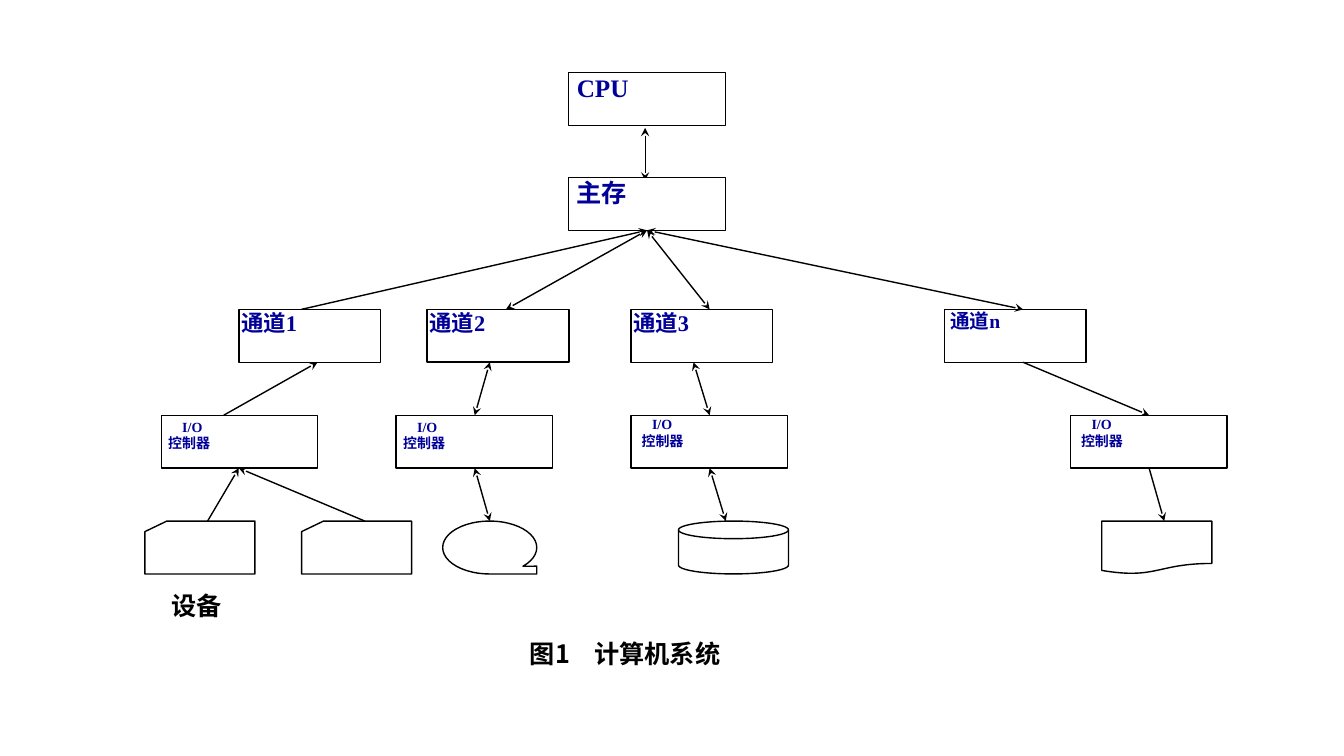
from dataclasses import dataclass

import pptx
import pptx.dml.color
import pptx.enum.shapes
import pptx.enum.text
import pptx.oxml
import pptx.oxml.ns
import pptx.util
from pptx.slide import Slide
from pptx.text.text import TextFrame

Pt = pptx.util.Pt
Kind = pptx.enum.shapes.MSO_SHAPE
Align = pptx.enum.text.PP_ALIGN

COLORS = {"ink": "000000", "paper": "FFFFFF", "label": "000099"}
SERIF, SANS = "Times New Roman", "Noto Sans CJK SC"
HIGH = 37.8
ROWS = {"cpu": 51.8, "store": 126.7, "channel": 221, "control": 296.6, "device": 372.2}
WIDTHS = {"cpu": 112.3, "store": 112.3, "channel": 101, "control": 111.8, "device": 78.6}
HUB = 462.2


@dataclass
class Line:
    text: str
    size: float
    indent: float = 0


@dataclass
class Box:
    row: str
    left: float
    lines: tuple[Line, ...] = ()
    kind: Kind = Kind.RECTANGLE
    width: float = 0
    top: float = 0
    stroke: float = 1


@dataclass
class Wire:
    start: float
    above: str
    end: float
    below: str
    ends: str = "both"


def unit(top: float, left: float, indent: float) -> Box:
    return Box("control", left, (Line("I/O", 10, 15), Line("控制器", 10, indent)), top=top)


BOXES = [
    Box("cpu", 406, (Line("CPU", 18, 6),)),
    Box("store", 406, (Line("主存", 18, 6),)),
    Box("channel", 170.8, (Line("通道1", 16, 1.5),)),
    Box("channel", 305.2, (Line("通道2", 16, 1.5),), stroke=1.25),
    Box("channel", 450.8, (Line("通道3", 16, 1.5),)),
    Box("channel", 674.7, (Line("通道n", 14, 4),)),
    unit(2, 115.2, 5),
    unit(2, 283, 5),
    unit(0, 450.8, 7.5),
    unit(0, 764.7, 7.5),
    Box("device", 103.5, kind=Kind.FLOWCHART_CARD),
    Box("device", 215.4, kind=Kind.FLOWCHART_CARD),
    Box("device", 316.2, kind=Kind.FLOWCHART_SEQUENTIAL_ACCESS_STORAGE, width=67.2),
    Box("device", 484.6, kind=Kind.FLOWCHART_MAGNETIC_DISK),
    Box("device", 787, kind=Kind.FLOWCHART_DOCUMENT),
]

WIRES = [
    Wire(HUB, "store", 215.3, "channel", "head"),
    Wire(HUB, "store", 361.4, "channel"),
    Wire(HUB, "store", 506.9, "channel"),
    Wire(HUB, "store", 730.8, "channel"),
    Wire(226.8, "channel", 159.8, "control", "head"),
    Wire(349.9, "channel", 339.1, "control"),
    Wire(495.4, "channel", 506.9, "control"),
    Wire(730.8, "channel", 820.8, "control", "tail"),
    Wire(170.6, "control", 148.3, "device", "head"),
    Wire(170.6, "control", 260.6, "device", "head"),
    Wire(339.1, "control", 349.9, "device"),
    Wire(506.9, "control", 518.4, "device"),
    Wire(820.8, "control", 831.6, "device", "tail"),
]


def paint(name: str) -> pptx.dml.color.RGBColor:
    return pptx.dml.color.RGBColor.from_string(COLORS[name])


def node(parent, tag: str, **attrs: str):
    child = pptx.oxml.ns.qn(tag)
    item = parent.makeelement(child, attrs)
    parent.append(item)
    return item


def write(frame: TextFrame, lines: tuple[Line, ...], face: str, color: str,
          align: Align, tab: float = 0) -> None:
    for index, line in enumerate(lines):
        para = frame.paragraphs[0] if index == 0 else frame.add_paragraph()
        para.alignment = align
        props = para._p.get_or_add_pPr()
        props.set("marL", str(Pt(line.indent)))
        if tab:
            node(node(props, "a:tabLst"), "a:tab", pos=str(Pt(tab)), algn="l")
        run = para.add_run()
        run.text = line.text
        font = run.font
        font.size, font.bold, font.name = Pt(line.size), True, face
        font.color.rgb = paint(color)
        node(run._r.get_or_add_rPr(), "a:ea", typeface=SANS)


def draw(slide: Slide, box: Box) -> None:
    shape = slide.shapes.add_shape(
        box.kind, Pt(box.left), Pt(ROWS[box.row]),
        Pt(box.width or WIDTHS[box.row]), Pt(HIGH))
    shape.shadow.inherit = False
    shape.fill.solid()
    shape.fill.fore_color.rgb = paint("paper")
    shape.line.color.rgb = paint("ink")
    shape.line.width = Pt(box.stroke)
    if box.lines:
        frame = shape.text_frame
        frame.word_wrap = True
        frame.vertical_anchor = pptx.enum.text.MSO_ANCHOR.TOP
        frame.margin_left = frame.margin_right = frame.margin_bottom = 0
        frame.margin_top = Pt(box.top)
        write(frame, box.lines, SERIF, "label", Align.LEFT)


def link(slide: Slide, x1: float, y1: float, x2: float, y2: float,
         ends: str = "both", stroke: float = 1) -> None:
    wire = slide.shapes.add_connector(
        pptx.enum.shapes.MSO_CONNECTOR.STRAIGHT, Pt(x1), Pt(y1), Pt(x2), Pt(y2))
    wire.line.color.rgb = paint("ink")
    wire.line.width = Pt(stroke)
    for end in ("head", "tail"):
        if ends in (end, "both"):
            node(wire.line._get_or_add_ln(), f"a:{end}End", type="stealth")
    node(wire._element.spPr, "a:effectLst")


def note(slide: Slide, text: str, left: float, top: float, width: float,
         tab: float = 0) -> None:
    area = slide.shapes.add_textbox(Pt(left), Pt(top), Pt(width), Pt(28.8))
    area.text_frame.word_wrap = True
    write(area.text_frame, (Line(text, 18),), SANS, "ink", Align.LEFT, tab)


def main() -> None:
    deck = pptx.Presentation()
    deck.slide_width, deck.slide_height = Pt(960), Pt(540)
    slide = deck.slides.add_slide(deck.slide_layouts[6])
    link(slide, 460.8, 91.4, 460.8, 128.9, stroke=0.75)
    for box in BOXES:
        draw(slide, box)
    for wire in WIRES:
        link(slide, wire.start, ROWS[wire.above] + HIGH,
             wire.end, ROWS[wire.below], wire.ends)
    note(slide, "设备", 115.2, 418.3, 52.6)
    note(slide, "图1\t计算机系统", 371.5, 452.2, 172, tab=46)
    deck.save("out.pptx")


if __name__ == "__main__":
    main()
